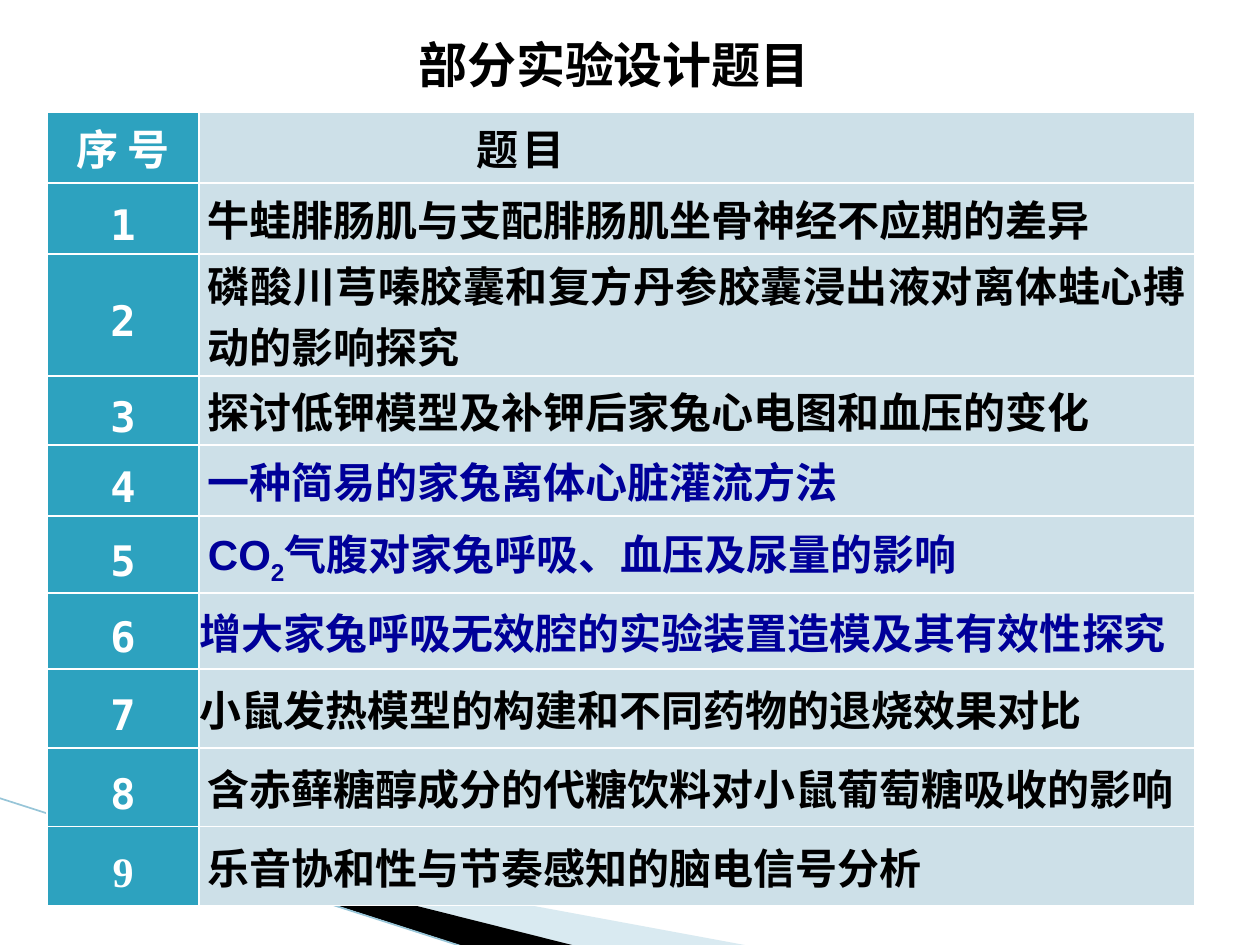
from dataclasses import dataclass

from lxml.etree import SubElement
from pptx import Presentation
from pptx.dml.color import RGBColor as RGB
from pptx.enum.shapes import MSO_CONNECTOR as CONN
from pptx.enum.text import MSO_ANCHOR as ANCHOR, PP_ALIGN as ALIGN
from pptx.oxml.ns import qn
from pptx.util import Emu, Pt

SCALE = 914400 / 126


@dataclass(frozen=True)
class Theme:
    """Colours, fonts and type sizes of the slide."""
    black: str = "000000"
    white: str = "FFFFFF"
    navy: str = "000099"
    teal: str = "2DA2BF"
    pale: str = "CDE0E8"
    wave: str = "A0CBDC"
    edge: str = "97C5D8"
    mono: str = "DejaVu Sans Mono"
    sans: str = "Arial"
    serif: str = "Times New Roman"
    title: int = 28
    body: int = 24


T = Theme()

COLS = (152, 996)
HEADER_H = 71
# row height, colour, font of number, font of topic, side margin, topic runs
TOPICS = (
    (71, T.black, T.mono, T.mono, 9, ["牛蛙腓肠肌与支配腓肠肌坐骨神经不应期的差异"]),
    (107, T.black, T.mono, T.mono, 9, ["磷酸川芎嗪胶囊和复方丹参胶囊浸出液对离体蛙心搏动的影响探究"]),
    (69, T.black, T.mono, T.mono, 9, ["探讨低钾模型及补钾后家兔心电图和血压的变化"]),
    (71, T.navy, T.mono, T.mono, 9, ["一种简易的家兔离体心脏灌流方法"]),
    (77, T.navy, T.mono, T.sans, 9, ["CO", "2", "气腹对家兔呼吸、血压及尿量的影响"]),
    (76, T.navy, T.mono, T.mono, 1, ["增大家兔呼吸无效腔的实验装置造模及其有效性探究"]),
    (79, T.black, T.mono, T.sans, 1, ["小鼠发热模型的构建和不同药物的退烧效果对比"]),
    (79, T.black, T.mono, T.sans, 9, ["含赤藓糖醇成分的代糖饮料对小鼠葡萄糖吸收的影响"]),
    (79, T.black, T.serif, T.mono, 9, ["乐音协和性与节奏感知的脑电信号分析"]),
)


def px(n):
    """Turn px into EMU."""
    return Emu(round(n * SCALE))


def add_run(p, text, color, font=T.mono, size=T.body):
    """Add one bold run to a paragraph."""
    r = p.add_run()
    r.text = text
    r.font.name, r.font.size, r.font.bold = font, Pt(size), True
    r.font.color.rgb = RGB.from_string(color)
    return r


def add_wave(s, x, y, points, color, alpha=None):
    """Draw a filled outline whose points are relative to (x, y)."""
    (x0, y0), *rest = [(x + dx, y + dy) for dx, dy in points]
    fb = s.shapes.build_freeform(x0, y0, scale=SCALE)
    fb.add_line_segments(rest, close=True)
    sp = fb.convert_to_shape()
    sp.shadow.inherit = False
    sp.fill.solid()
    sp.fill.fore_color.rgb = RGB.from_string(color)
    sp.line.fill.background()
    if alpha:
        clr = sp._element.spPr.find(".//" + qn("a:srgbClr"))
        SubElement(clr, qn("a:alpha")).set("val", str(alpha * 1000))


def add_backdrop(s, x, y):
    """Draw the sloping bands and the thin line above them."""
    add_wave(s, x, y, [(70, 22), (751, 148), (576, 148), (70, 21)], T.wave, 40)
    add_wave(s, x, y, [(68, 20), (577, 148), (470, 150), (69, 21)], T.black)
    cx = s.shapes.add_connector(CONN.STRAIGHT, px(x), px(y), px(x + 468), px(y + 150))
    cx.line.color.rgb = RGB.from_string(T.edge)
    cx.line.width = Pt(0.95)
    SubElement(cx._element.spPr, qn("a:effectLst"))


def add_title(s, x, y, w, h):
    """Place the slide title in its box."""
    sp = s.shapes.title
    sp.left, sp.top, sp.width, sp.height = map(px, (x, y, w, h))
    tf = sp.text_frame
    tf.vertical_anchor = ANCHOR.MIDDLE
    p = tf.paragraphs[0]
    p.alignment = ALIGN.CENTER
    add_run(p, "部分实验设计题目", T.black, size=T.title)


def style_cell(cell, color, margin=9):
    """Set fill, margins and white borders, and return the paragraph."""
    cell.margin_left = cell.margin_right = px(margin)
    cell.margin_top = cell.margin_bottom = 0
    cell.vertical_anchor = ANCHOR.MIDDLE
    tcPr = cell._tc.get_or_add_tcPr()
    for side in ("lnL", "lnR", "lnT", "lnB"):
        ln = SubElement(tcPr, qn(f"a:{side}"), w=str(Pt(1)))
        fill = SubElement(ln, qn("a:solidFill"))
        SubElement(fill, qn("a:srgbClr"), val=T.white)
    cell.fill.solid()
    cell.fill.fore_color.rgb = RGB.from_string(color)
    return cell.text_frame.paragraphs[0]


def fill_header(number, topic):
    """Write the two column headings."""
    p = style_cell(number, T.teal)
    p.alignment = ALIGN.CENTER
    add_run(p, "序 号", T.white)
    p = style_cell(topic, T.pale)
    pPr = p._p.get_or_add_pPr()
    pPr.set("marL", "0")
    pPr.set("indent", str(px(269)))
    tabs = SubElement(pPr, qn("a:tabLst"))
    SubElement(tabs, qn("a:tab"), pos=str(px(371)), algn="l")
    add_run(p, "题\t目", T.black)


def fill_topic(number, topic, n, color, num_font, font, margin, texts):
    """Write one numbered topic."""
    p = style_cell(number, T.teal)
    p.alignment, p.line_spacing = ALIGN.CENTER, 1.3
    add_run(p, str(n), T.white, num_font)
    p = style_cell(topic, T.pale, margin)
    p.alignment = ALIGN.JUSTIFY if len(texts) == 1 else ALIGN.LEFT
    for text in texts:
        r = add_run(p, text, color, font)
        if text == "2":
            r.font._element.set("baseline", "-25000")


def add_topics(s, x, y):
    """Build the table of experiment topics."""
    heights = [HEADER_H] + [t[0] for t in TOPICS]
    box = map(px, (x, y, sum(COLS), sum(heights)))
    tbl = s.shapes.add_table(len(heights), len(COLS), *box).table
    for col, w in zip(tbl.columns, COLS):
        col.width = px(w)
    for row, h in zip(tbl.rows, heights):
        row.height = px(h)
    fill_header(*tbl.rows[0].cells)
    for n, (_, *topic) in enumerate(TOPICS, 1):
        fill_topic(*tbl.rows[n].cells, n, *topic)


def main():
    """Build and save the slide."""
    prs = Presentation()
    prs.slide_width, prs.slide_height = px(1260), px(945)
    s = prs.slides.add_slide(prs.slide_layouts[5])
    add_backdrop(s, -1, 798)
    add_topics(s, 47, 112)
    add_title(s, 47, 16, 1134, 96)
    prs.save("out.pptx")


if __name__ == "__main__":
    main()
